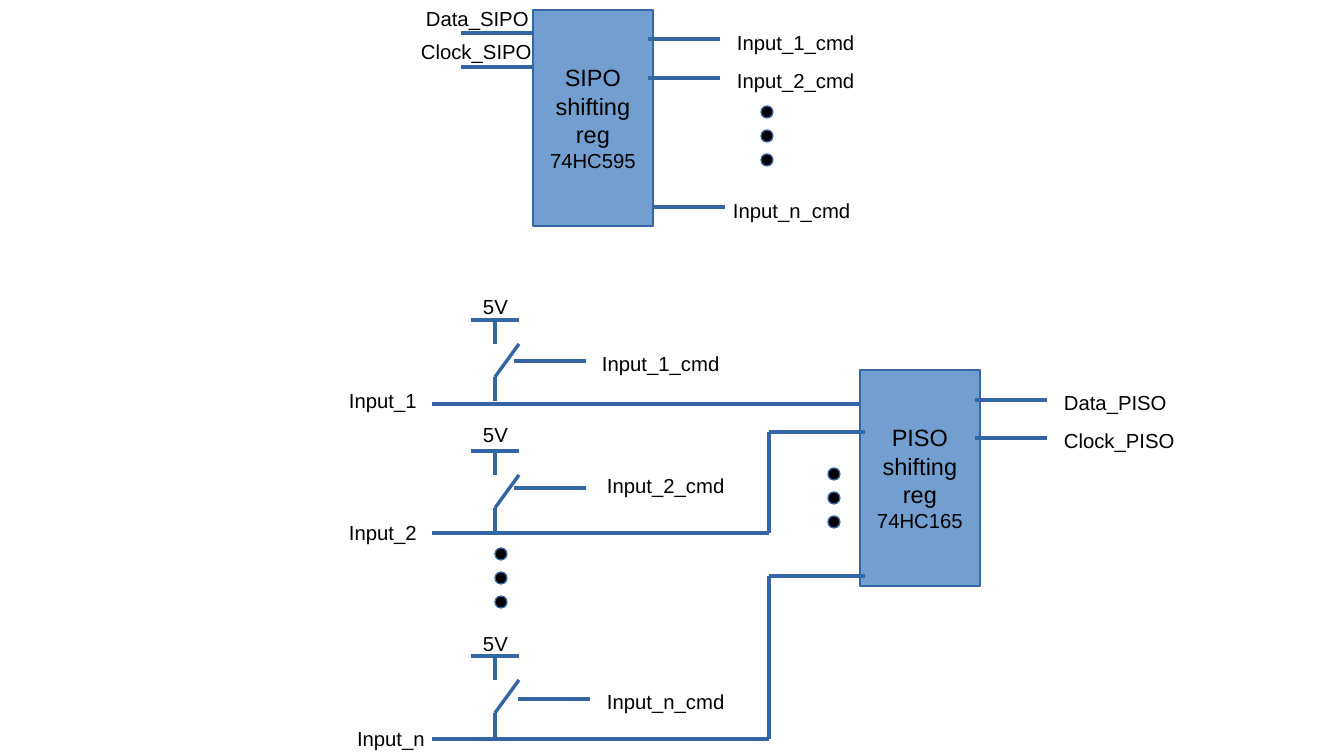
from pptx import Presentation
from pptx.dml.color import RGBColor
from pptx.enum.shapes import MSO_CONNECTOR as CONN, MSO_SHAPE as SHAPE
from pptx.enum.text import MSO_ANCHOR as ANCHOR, MSO_AUTO_SIZE as AUTO, PP_ALIGN as ALIGN
from pptx.oxml.ns import qn
from pptx.util import Pt
from lxml.etree import SubElement

BLACK = RGBColor(0x00, 0x00, 0x00)
BLUE = RGBColor(0x72, 0x9F, 0xCF)
LINE = RGBColor(0x34, 0x65, 0xA4)

PX = 914400 / 122
SLIDE_W, SLIDE_H = 1344, 756
CHIP_W, CHIP_H = 120, 216
PIN = 72
DOT, DOT_STEP = 12, 24
RAIL_X, RAIL_W = 471, 48
STEM, BLADE, DROP = 24, 57, 81
BUS_X, RISER_X = 432, 769
LABEL_W, INPUT_W = 144, 96

CHIPS = [
    ("SIPO", "74HC595", 533, 10),
    ("PISO", "74HC165", 860, 370),
]
PINS = [
    (461, 33), (461, 67), (648, 39), (648, 78), (653, 207),
    (975, 400), (975, 438), (514, 361), (514, 488), (518, 699),
]
RAILS = [320, 451, 656]
DIRECT_BUS = (404, 860)
BENT_BUSES = [(533, 432), (739, 576)]
BEND_END = 865
DOT_COLUMNS = [(495, 548), (761, 106), (828, 468)]
LABELS = [
    ("Data_SIPO", 414, 0, LABEL_W, 98),
    ("Clock_SIPO", 409, 33, LABEL_W, 98),
    ("Input_1_cmd", 725, 24, LABEL_W, 98),
    ("Input_2_cmd", 725, 62, LABEL_W, 98),
    ("Input_n_cmd", 721, 192, LABEL_W, 35),
    ("Input_1_cmd", 590, 345, LABEL_W, 98),
    ("Input_2_cmd", 595, 467, LABEL_W, 121),
    ("Input_n_cmd", 595, 683, LABEL_W, 121),
    ("Data_PISO", 1052, 384, LABEL_W, 98),
    ("Clock_PISO", 1052, 422, LABEL_W, 57),
    ("5V", RAIL_X, 288, INPUT_W, 52),
    ("5V", RAIL_X, 416, INPUT_W, 52),
    ("5V", RAIL_X, 625, INPUT_W, 37),
    ("Input_1", 337, 382, INPUT_W, 166),
    ("Input_2", 337, 514, INPUT_W, 166),
    ("Input_n", 345, 720, INPUT_W, 35),
]


def emu(*lengths):
    """Turn pixel lengths into EMU."""
    return [round(n * PX) for n in lengths]


def put(target, **values):
    """Set each named attribute on the target."""
    for name, value in values.items():
        setattr(target, name, value)


def add_run(p, text, size):
    """Add a run in the slide font."""
    r = p.add_run()
    r.text = text
    put(r.font, name="Arial", size=Pt(size))
    r.font.color.rgb = BLACK


def add_block(s, kind, x, y, w, h, color):
    """Add a filled shape with a hairline border."""
    sp = s.shapes.add_shape(kind, *emu(x, y, w, h))
    sp.shadow.inherit = False
    sp.fill.solid()
    sp.fill.fore_color.rgb = color
    sp.line.color.rgb = LINE
    sp.line.width = 0
    return sp


def add_chip(s, name, part, x, y):
    """Add a shift register with its name and part number."""
    tf = add_block(s, SHAPE.RECTANGLE, x, y, CHIP_W, CHIP_H, BLUE).text_frame
    put(tf, word_wrap=True, vertical_anchor=ANCHOR.MIDDLE)
    p = tf.paragraphs[0]
    p.alignment = ALIGN.CENTER
    for text, size in ((name, 13.9), ("shifting reg", 13.9)):
        add_run(p, text, size)
        p.add_line_break()
    add_run(p, part, 12)


def add_wire(s, *points):
    """Join consecutive points with hairlines."""
    for start, end in zip(points, points[1:]):
        sp = s.shapes.add_connector(CONN.STRAIGHT, *emu(*start, *end))
        sp.line.color.rgb = LINE
        sp.line.width = 0
        SubElement(sp.element.spPr, qn("a:effectLst"))


def add_switch(s, y):
    """Add a supply rail with an open switch below it."""
    mid, right = RAIL_X + RAIL_W // 2, RAIL_X + RAIL_W
    add_wire(s, (RAIL_X, y), (right, y))
    add_wire(s, (mid, y), (mid, y + STEM))
    add_wire(s, (right, y + STEM), (mid, y + BLADE), (mid, y + DROP))


def add_label(s, text, x, y, w, h):
    """Add a signal label."""
    tf = s.shapes.add_textbox(*emu(x, y, w, h)).text_frame
    put(tf, word_wrap=True, auto_size=AUTO.SHAPE_TO_FIT_TEXT)
    add_run(tf.paragraphs[0], text, 12)


def main():
    """Build the shift register diagram."""
    prs = Presentation()
    prs.slide_width, prs.slide_height = emu(SLIDE_W, SLIDE_H)
    s = prs.slides.add_slide(prs.slide_layouts[6])
    for chip in CHIPS:
        add_chip(s, *chip)
    for x, y in PINS:
        add_wire(s, (x, y), (x + PIN, y))
    for y in RAILS:
        add_switch(s, y)
    bus_y, bus_end = DIRECT_BUS
    add_wire(s, (BUS_X, bus_y), (bus_end, bus_y))
    for low, high in BENT_BUSES:
        add_wire(s, (BUS_X, low), (RISER_X, low), (RISER_X, high), (BEND_END, high))
    for x, y in DOT_COLUMNS:
        for i in range(3):
            add_block(s, SHAPE.OVAL, x, y + i * DOT_STEP, DOT, DOT, BLACK)
    for label in LABELS:
        add_label(s, *label)
    prs.save("out.pptx")


if __name__ == "__main__":
    main()
